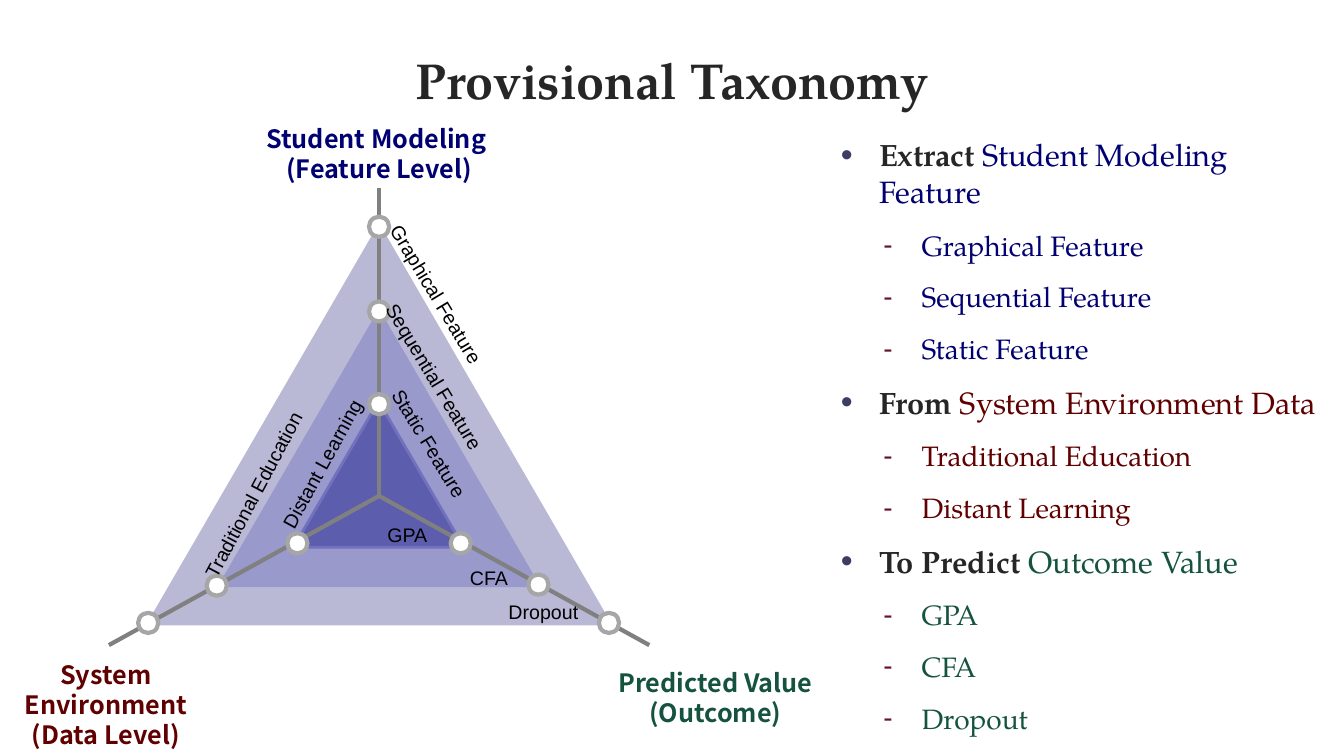
from dataclasses import dataclass
from typing import NamedTuple

from lxml import etree as et
from pptx import Presentation
from pptx.dml import color as col
from pptx.enum import shapes as sh, text as tx
from pptx.oxml import ns
from pptx.util import Inches, Pt


@dataclass(frozen=True)
class Theme:
    serif: str = "TeX Gyre Pagella"
    sans: str = "Noto Sans CJK SC"
    plain: str = "Arial"
    ink: str = "262626"
    black: str = "000000"
    white: str = "FFFFFF"
    blue: str = "000072"
    red: str = "600000"
    green: str = "155340"
    axis: str = "808080"
    ring: str = "A6A6A6"
    dot: str = "3C3C65"
    dash: str = "651425"
    title: int = 36
    topic: int = 22
    item: int = 20
    head: int = 18
    tag: int = 14


class Layer(NamedTuple):
    left: float
    top: float
    width: float
    height: float
    fill: str
    line: str


class Head(NamedTuple):
    left: float
    top: float
    width: float
    height: float
    lines: tuple
    color: str


class Tag(NamedTuple):
    text: str
    left: float
    top: float
    width: float
    turn: float = 0


class Topic(NamedTuple):
    verb: str
    name: str
    color: str
    items: tuple


T = Theme()
HUB = (3.76, 4.92)
ENDS = [(6.44, 6.4), (3.76, 1.87), (1.08, 6.4)]
DOT = 0.2
DOTS = [(4.57, 5.39), (5.34, 5.8), (6.04, 6.18),
        (3.76, 4.01), (3.76, 3.09), (3.76, 2.25),
        (2.95, 5.39), (2.15, 5.81), (1.47, 6.18)]
LAYERS = [
    Layer(1.47, 2.24, 4.58, 3.95, "B9B9D5", "B9B9D5"),
    Layer(2.18, 3.09, 3.16, 2.72, "9999CC", "9999CC"),
    Layer(2.91, 3.98, 1.69, 1.45, "5D5DAE", "7171BD"),
]
HEADS = [
    Head(-0.15, 6.49, 2.4, 1.01, ("System Environment", "(Data Level)"), T.red),
    Head(5.84, 6.57, 2.51, 0.71, ("Predicted Value", "(Outcome)"), T.green),
    Head(1.65, 1.17, 4.22, 0.71, ("Student Modeling ", "(Feature Level)"), T.blue),
]
TAGS = [
    Tag("Graphical Feature", 3.07, 2.75, 2.51, 59),
    Tag("Sequential Feature", 3.05, 3.57, 2.51, 59),
    Tag("Static Feature", 3.38, 4.23, 1.75, 58.6),
    Tag("Traditional Education", 1.26, 4.74, 2.51, 298),
    Tag("Distant Learning", 1.94, 4.43, 2.51, 298.7),
    Tag("GPA", 3.46, 5.14, 1.16),
    Tag("CFA", 4.27, 5.57, 1.16),
    Tag("Dropout", 4.81, 5.9, 1.16),
]
TOPICS = [
    Topic("Extract ", "Student Modeling Feature", T.blue,
          ("Graphical Feature", "Sequential Feature", "Static Feature")),
    Topic("From ", "System Environment Data", T.red,
          ("Traditional Education", "Distant Learning")),
    Topic("To Predict ", "Outcome Value", T.green, ("GPA", "CFA", "Dropout")),
]


def rgb(code: str) -> col.RGBColor:
    return col.RGBColor.from_string(code)


def node(root, tag: str, **attrs: str):
    return et.SubElement(root, ns.qn(tag), attrs)


def style(font, face: str, size: int, color: str, bold: bool = False) -> None:
    font.name, font.size, font.bold = face, Pt(size), bold
    font.color.rgb = rgb(color)


def solid(slide, kind, box, fill: str, line: str, width: float) -> None:
    part = slide.shapes.add_shape(kind, *map(Inches, box))
    part.shadow.inherit = False
    part.fill.solid()
    part.fill.fore_color.rgb = rgb(fill)
    part.line.color.rgb = rgb(line)
    part.line.width = Pt(width)


def axis(slide, end) -> None:
    line = slide.shapes.add_connector(
        sh.MSO_CONNECTOR.STRAIGHT, *map(Inches, (*HUB, *end)))
    line.line.color.rgb = rgb(T.axis)
    line.line.width = Pt(3)
    node(line._element.spPr, "a:effectLst")


def label(slide, box, lines, face: str, size: int, color: str, bold: bool = False):
    part = slide.shapes.add_textbox(*map(Inches, box))
    frame = part.text_frame
    frame.word_wrap = True
    frame.text = "\n".join(lines)
    for para in frame.paragraphs:
        para.alignment = tx.PP_ALIGN.CENTER
        style(para.font, face, size, color, bold)
    return part


def shade(part) -> None:
    for para in part.text_frame.paragraphs:
        for run in para.runs:
            fx = et.Element(ns.qn("a:effectLst"))
            glow = node(fx, "a:outerShdw", blurRad="38100", dist="38100",
                        dir="2700000", algn="tl")
            tint = node(glow, "a:srgbClr", val=T.black)
            node(tint, "a:alpha", val="43000")
            run._r.get_or_add_rPr().insert(0, fx)


def bullet(para, mark: str, color: str, left: float, scale: int) -> None:
    para.space_before = Pt(13)
    props = para._p.get_or_add_pPr()
    props.set("marL", str(Inches(left)))
    props.set("indent", str(Inches(-0.38)))
    node(node(props, "a:buClr"), "a:srgbClr", val=color)
    node(props, "a:buSzPct", val=str(scale * 1000))
    node(props, "a:buFont", typeface=T.plain)
    node(props, "a:buChar", char=mark)


def outline(slide) -> None:
    part = slide.shapes.add_textbox(*map(Inches, (8.22, 1.3, 5.12, 5.68)))
    frame = part.text_frame
    frame.word_wrap = True
    frame.margin_left = Inches(0.12)
    para = frame.paragraphs[0]
    for topic in TOPICS:
        if para.runs:
            para = frame.add_paragraph()
        bullet(para, "•", T.dot, 0.38, 110)
        for words, color, bold in ((topic.verb, T.ink, True),
                                   (topic.name, topic.color, False)):
            run = para.add_run()
            run.text = words
            style(run.font, T.serif, T.topic, color, bold)
        for item in topic.items:
            para = frame.add_paragraph()
            para.level = 1
            para.text = item
            bullet(para, "-", T.dash, 0.8, 100)
            style(para.font, T.serif, T.item, topic.color)


def heading(slide) -> None:
    title = slide.shapes.title
    title.left, title.top, title.width, title.height = map(
        Inches, (0.44, 0.41, 12.45, 0.75))
    frame = title.text_frame
    frame.text = "Provisional Taxonomy"
    frame.auto_size = tx.MSO_AUTO_SIZE.NONE
    frame.vertical_anchor = tx.MSO_ANCHOR.MIDDLE
    para = frame.paragraphs[0]
    para.alignment = tx.PP_ALIGN.CENTER
    style(para.font, T.serif, T.title, T.ink, True)


deck = Presentation()
deck.slide_width, deck.slide_height = Inches(13.33), Inches(7.5)
page = deck.slides.add_slide(deck.slide_layouts[5])
heading(page)
for layer in LAYERS:
    solid(page, sh.MSO_SHAPE.ISOSCELES_TRIANGLE, layer[:4], layer.fill, layer.line, 2)
for end in ENDS:
    axis(page, end)
for head in HEADS:
    shade(label(page, head[:4], head.lines, T.sans, T.head, head.color, True))
for x, y in DOTS:
    solid(page, sh.MSO_SHAPE.OVAL, (x - DOT / 2, y - DOT / 2, DOT, DOT),
          T.white, T.ring, 3)
for tag in TAGS:
    box = (tag.left, tag.top, tag.width, 0.34)
    label(page, box, [tag.text], T.plain, T.tag, T.black).rotation = tag.turn
outline(page)
deck.save("out.pptx")
